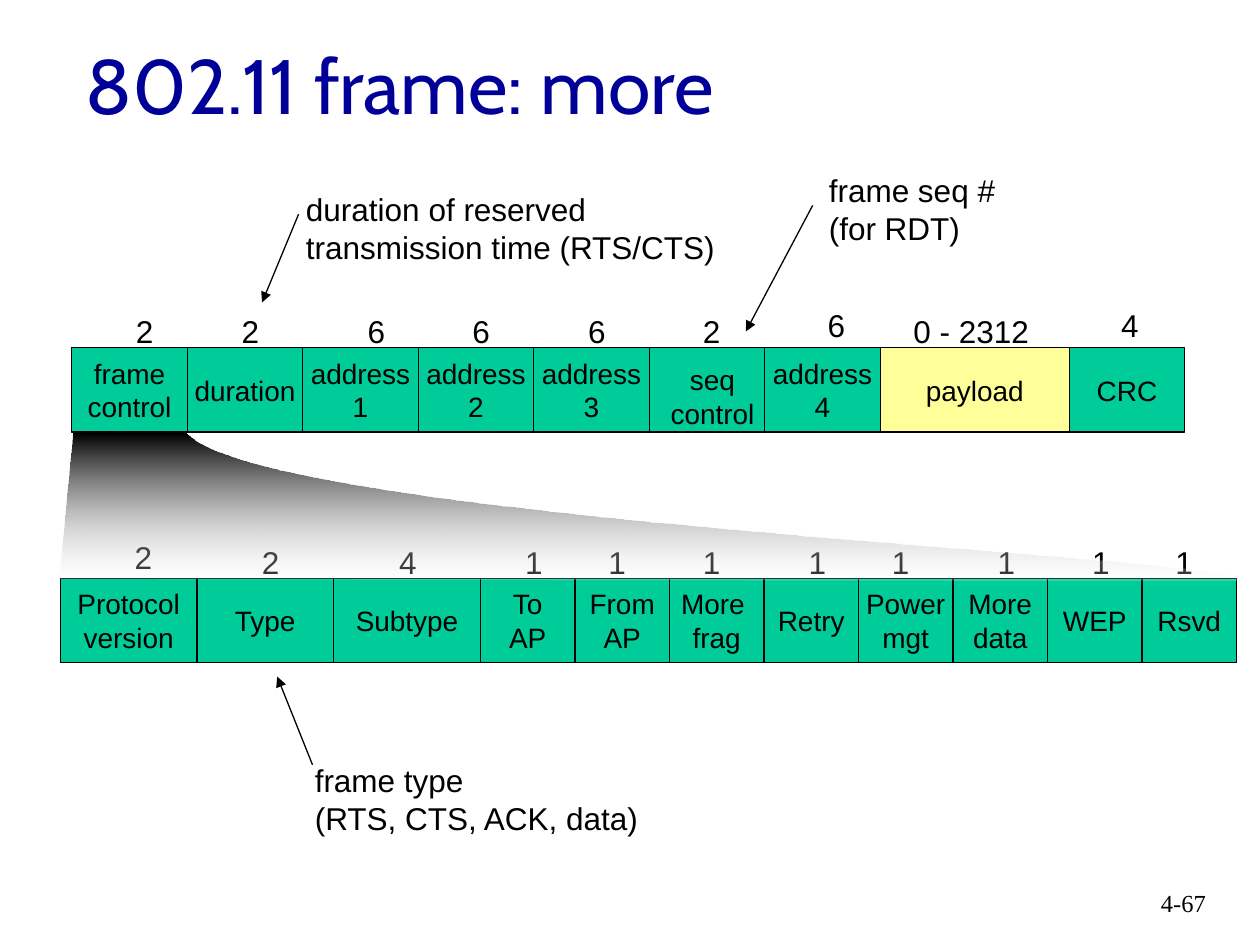
from lxml import etree
from pptx import Presentation
from pptx import util as u
from pptx.dml.color import RGBColor
from pptx.enum import shapes, text
from pptx.oxml.ns import qn

BLACK = RGBColor(0x00, 0x00, 0x00)
WHITE = RGBColor(0xFF, 0xFF, 0xFF)
NAVY = RGBColor(0x00, 0x00, 0x99)
GREEN = RGBColor(0x00, 0xCC, 0x99)
YELLOW = RGBColor(0xFF, 0xFF, 0x99)

LEFT, CENTER, RIGHT = text.PP_ALIGN.LEFT, text.PP_ALIGN.CENTER, text.PP_ALIGN.RIGHT
CELL_HEIGHT = 0.67
DIGIT_WIDTH = 0.34


class FrameSlide:
    def __init__(self, slide, font="Arial", cell_size=16, note_size=18):
        self.slide = slide
        self.font = font
        self.cell_size = cell_size
        self.note_size = note_size

    def add_lines(self, frame, lines, size, align=LEFT, color=BLACK, font=None):
        for index, line in enumerate(lines):
            paragraph = frame.paragraphs[0] if index == 0 else frame.add_paragraph()
            paragraph.alignment = align
            run = paragraph.add_run()
            run.text = line
            run.font.size = u.Pt(size)
            run.font.name = font or self.font
            run.font.color.rgb = color

    def label(self, box, lines, size=None, align=LEFT, color=BLACK, font=None, wrap=False):
        frame = self.slide.shapes.add_textbox(*map(u.Inches, box)).text_frame
        frame.word_wrap = wrap
        if not wrap:
            frame.auto_size = text.MSO_AUTO_SIZE.SHAPE_TO_FIT_TEXT
        self.add_lines(frame, lines, size or self.note_size, align, color, font)

    def cell(self, left, top, width, lines, fill):
        box = map(u.Inches, (left, top, width, CELL_HEIGHT))
        field = self.slide.shapes.add_shape(shapes.MSO_SHAPE.RECTANGLE, *box)
        field.shadow.inherit = False
        field.fill.solid()
        field.fill.fore_color.rgb = fill
        field.line.color.rgb = BLACK
        field.line.width = u.Pt(0.75)
        field.text_frame.word_wrap = False
        field.text_frame.vertical_anchor = text.MSO_ANCHOR.MIDDLE
        self.add_lines(field.text_frame, lines, self.cell_size, CENTER)

    def row(self, left, top, fields):
        for twelfths, name in fields:
            width = twelfths / 12
            fill = YELLOW if name == "payload" else GREEN
            self.cell(left, top, width, name.split("\n") if name else [], fill)
            left += width

    def sizes(self, digits):
        for left, top, size in digits:
            self.label((left, top, DIGIT_WIDTH, 0.4), [size])

    def arrow(self, start, end):
        line = self.slide.shapes.add_connector(
            shapes.MSO_CONNECTOR.STRAIGHT, *map(u.Inches, start + end)
        )
        line.line.color.rgb = BLACK
        line.line.width = u.Pt(0.75)
        properties = line._element.spPr
        tail = etree.SubElement(properties.find(qn("a:ln")), qn("a:tailEnd"))
        tail.set("type", "triangle")
        etree.SubElement(properties, qn("a:effectLst"))

    def beam(self, corners, curve, steps=60):
        points = corners + [bezier(curve, step / steps) for step in range(steps + 1)]
        outline = [(u.Inches(x), u.Inches(y)) for x, y in points]
        builder = self.slide.shapes.build_freeform(*outline[0])
        builder.add_line_segments(outline[1:], close=True)
        beam = builder.convert_to_shape()
        beam.shadow.inherit = False
        beam.line.fill.background()
        beam.fill.gradient()
        beam.fill.gradient_angle = 270
        for stop, color in zip(beam.fill.gradient_stops, (BLACK, WHITE)):
            stop.color.rgb = color
        gradient = beam._element.spPr.find(qn("a:gradFill"))
        faded = list(gradient.iter(qn("a:srgbClr")))[-1]
        etree.SubElement(faded, qn("a:alpha")).set("val", "18000")


def bezier(curve, t):
    weights = ((1 - t) ** 3, 3 * t * (1 - t) ** 2, 3 * t**2 * (1 - t), t**3)
    return tuple(sum(w * p[axis] for w, p in zip(weights, curve)) for axis in (0, 1))


def main():
    deck = Presentation()
    deck.slide_width, deck.slide_height = u.Inches(10), u.Inches(7.5)
    page = FrameSlide(deck.slides.add_slide(deck.slide_layouts[6]))

    page.row(0.57, 2.76, [
        (11, "frame\ncontrol"), (11, "duration"), (11, "address\n1"),
        (11, "address\n2"), (11, "address\n3"), (11, ""),
        (11, "address\n4"), (18, "payload"), (11, "CRC"),
    ])
    page.sizes([
        (0.98, 2.43, "2"), (1.82, 2.43, "2"), (2.82, 2.43, "6"), (3.65, 2.43, "6"),
        (4.57, 2.43, "6"), (5.48, 2.43, "2"), (6.47, 2.38, "6"), (8.8, 2.38, "4"),
    ])
    page.label((7.15, 2.43, 1.12, 0.4), ["0 - 2312"])
    page.label((5.22, 2.83, 0.87, 0.64), ["seq", "control"], page.cell_size, CENTER)

    page.row(0.48, 4.59, [
        (13, "Protocol\nversion"), (13, "Type"), (14, "Subtype"), (9, "To\nAP"),
        (9, "From\nAP"), (9, "More \nfrag"), (9, "Retry"), (9, "Power\nmgt"),
        (9, "More\ndata"), (9, "WEP"), (9, "Rsvd"),
    ])
    page.sizes([(0.97, 4.22, "2"), (1.98, 4.26, "2"), (3.07, 4.26, "4")])
    flag_lefts = (4.07, 4.73, 5.48, 6.32, 6.98, 7.82, 8.57, 9.23)
    page.sizes([(left, 4.26, "1") for left in flag_lefts])

    page.beam(
        [(0.58, 3.44), (0.47, 4.59)],
        [(9.83, 4.61), (10, 4.41), (2.16, 4.15), (1.48, 3.44)],
    )

    page.label((2.33, 1.46, 3.48, 0.71), ["duration of reserved", "transmission time (RTS/CTS)"])
    page.arrow((2.37, 1.7), (2.08, 2.4))
    page.label((6.48, 1.31, 1.53, 0.71), ["frame seq #", "(for RDT)"])
    page.arrow((6.45, 1.63), (5.92, 2.63))
    page.arrow((2.48, 6.07), (2.2, 5.37))
    page.label((2.4, 5.99, 2.82, 0.7), ["frame type", "(RTS, CTS, ACK, data)"])

    page.label((0.58, 0.25, 8.5, 1.25), ["802.11 frame: more"], 44, LEFT, NAVY, "Cabin", True)
    page.label((8.93, 7, 0.74, 0.5), ["4-67"], 14, RIGHT, BLACK, "Times New Roman", True)

    deck.save("out.pptx")


if __name__ == "__main__":
    main()
